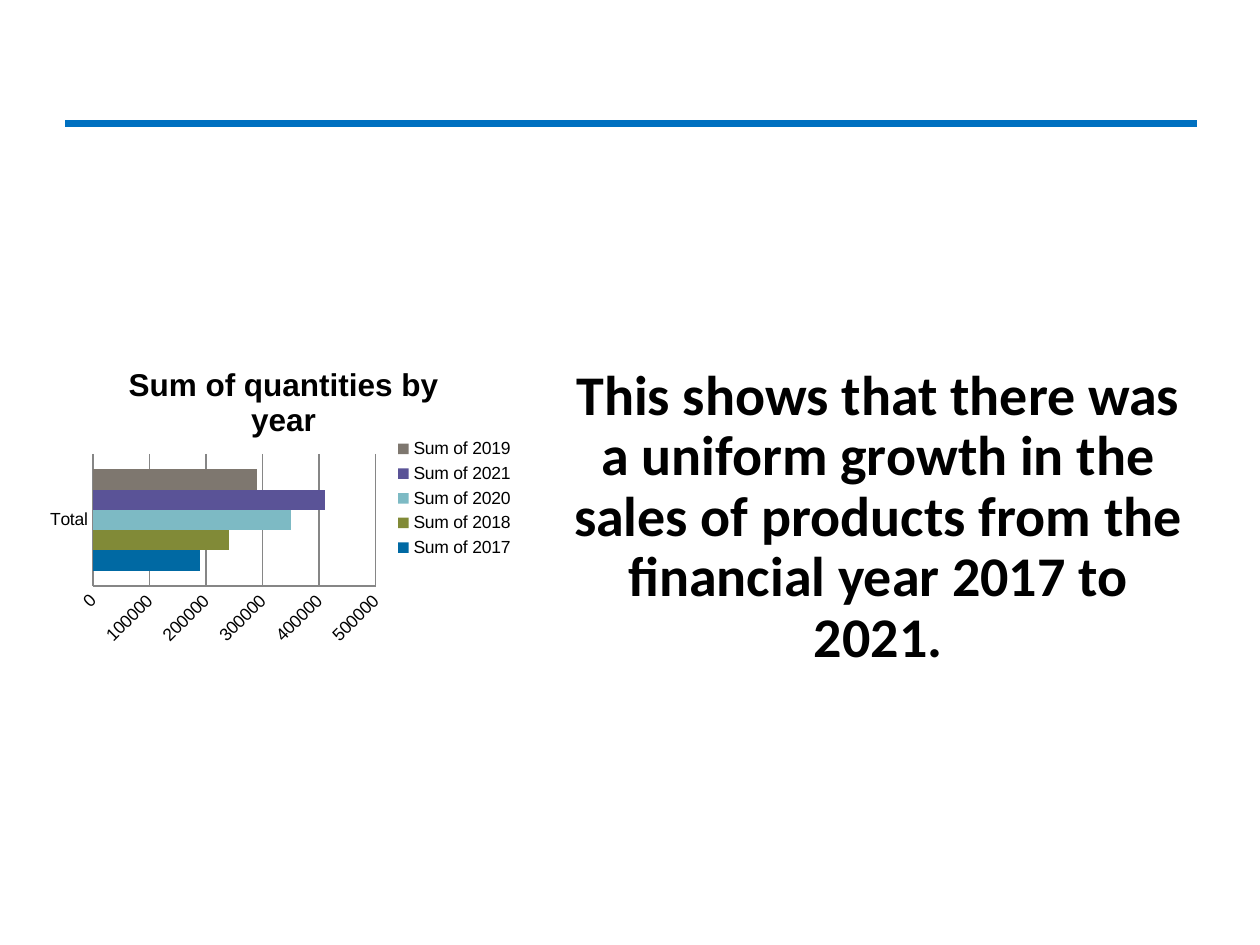
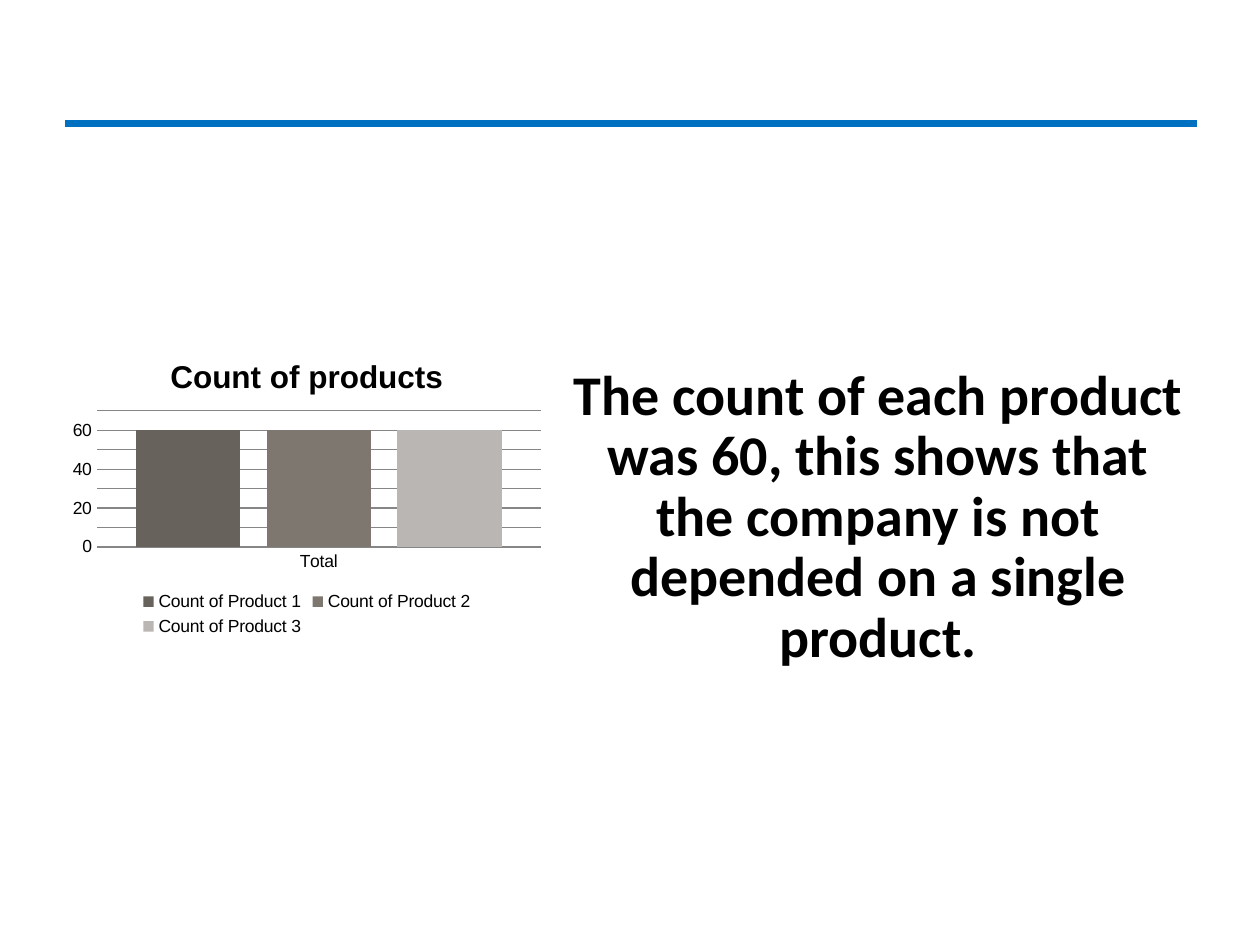
from pptx import Presentation
from pptx.chart.data import CategoryChartData
from pptx.dml.color import RGBColor
from pptx.enum.chart import XL_CHART_TYPE, XL_LEGEND_POSITION, XL_TICK_MARK
from pptx.enum.shapes import MSO_CONNECTOR
from pptx.enum.text import MSO_ANCHOR, MSO_AUTO_SIZE, PP_ALIGN
from pptx.oxml.ns import qn
from pptx.util import Inches, Pt
from lxml import etree

BAR = XL_CHART_TYPE.BAR_CLUSTERED
COLUMN = XL_CHART_TYPE.COLUMN_CLUSTERED
RIGHT = XL_LEGEND_POSITION.RIGHT
BOTTOM = XL_LEGEND_POSITION.BOTTOM
NO_TICK = XL_TICK_MARK.NONE
STRAIGHT = MSO_CONNECTOR.STRAIGHT
CENTER = PP_ALIGN.CENTER
TOP = MSO_ANCHOR.TOP
NO_FIT = MSO_AUTO_SIZE.NONE

WIDTH, HEIGHT = 10, 7.5
BLUE, BLACK, GRAY = "0070C0", "000000", "868686"
TEXT_BOX = (4.44, 2.86, 5.06, 5.33)

YEARS = [
    ("Sum of 2017", 190000, "0069A3"),
    ("Sum of 2018", 240000, "818A37"),
    ("Sum of 2020", 350000, "7DBAC4"),
    ("Sum of 2021", 410000, "5A5397"),
    ("Sum of 2019", 290000, "7E776F"),
]
PRODUCTS = [
    (f"Count of Product {n}", 60, tone)
    for n, tone in enumerate(("67625B", "7E776F", "BAB6B3"), 1)
]


def color(code):
    return RGBColor.from_string(code)


def style(font, name, size, bold=False):
    font.name, font.size, font.bold = name, Pt(size), bold
    font.color.rgb = color(BLACK)


def add_rule(slide):
    ends = [Inches(v) for v in (0.52, 0.98, WIDTH - 0.5, 0.98)]
    rule = slide.shapes.add_connector(STRAIGHT, *ends)
    rule.line.color.rgb = color(BLUE)
    rule.line.width = Pt(4.5)
    etree.SubElement(rule.element.spPr, qn("a:effectLst"))


def add_text(slide, text):
    body = slide.placeholders[1]
    body.left, body.top, body.width, body.height = map(Inches, TEXT_BOX)
    frame = body.text_frame
    frame.text = text
    frame.word_wrap = True
    frame.auto_size = NO_FIT
    frame.vertical_anchor = TOP
    par = frame.paragraphs[0]
    par.alignment = CENTER
    par.line_spacing = 0.9
    par.space_before = Pt(0)
    style(par.font, "Calibri", 32, True)
    props = par._p.get_or_add_pPr()
    props.set("marL", "0")
    props.set("indent", "0")
    mark = etree.Element(qn("a:buNone"))
    props.insert_element_before(mark, "a:tabLst", "a:defRPr", "a:extLst")


def add_slide(deck, text):
    slide = deck.slides.add_slide(deck.slide_layouts[1])
    title = slide.shapes.title.element
    title.getparent().remove(title)
    add_rule(slide)
    add_text(slide, text)
    return slide


def add_chart(slide, kind, box, title, rows, legend, gap, overlap=0):
    data = CategoryChartData()
    data.categories = ["Total"]
    for name, value, _ in rows:
        data.add_series(name, [value])
    chart = slide.shapes.add_chart(kind, *map(Inches, box), data).chart
    style(chart.font, "Arial", 10)
    chart.has_title = True
    chart.chart_title.include_in_layout = False
    head = chart.chart_title.text_frame
    head.text = title
    style(head.paragraphs[0].font, "Arial", 18, True)
    chart.has_legend = True
    chart.legend.position = legend
    chart.legend.include_in_layout = False
    plot = chart.plots[0]
    plot.vary_by_categories = False
    plot.gap_width, plot.overlap = gap, overlap
    for series, (_, _, tone) in zip(plot.series, rows):
        series.format.fill.solid()
        series.format.fill.fore_color.rgb = color(tone)
    for axis in (chart.category_axis, chart.value_axis):
        axis.major_tick_mark = axis.minor_tick_mark = NO_TICK
        axis.format.line.color.rgb = color(GRAY)
    grid = chart.value_axis
    grid.has_major_gridlines = True
    grid.major_gridlines.format.line.color.rgb = color(GRAY)
    return chart


def main():
    deck = Presentation()
    deck.slide_width, deck.slide_height = Inches(WIDTH), Inches(HEIGHT)

    slide = add_slide(deck, "This shows that there was a uniform growth in the "
                            "sales of products from the financial year 2017 to 2021.")
    chart = add_chart(slide, BAR, (0.32, 2.74, 3.86, 2.43),
                      "Sum of quantities by year", YEARS, RIGHT, 150)
    axis = chart.value_axis
    axis.minimum_scale, axis.maximum_scale, axis.major_unit = 0, 500000, 100000

    slide = add_slide(deck, "The count of each product was 60, this shows that "
                            "the company is not depended on a single product.")
    chart = add_chart(slide, COLUMN, (0.5, 2.68, 3.87, 2.41),
                      "Count of products", PRODUCTS, BOTTOM, 75, -25)
    axis = chart.value_axis
    axis.minimum_scale, axis.maximum_scale, axis.major_unit = 0, 70, 10
    axis.format.line.fill.background()

    deck.save("out.pptx")


if __name__ == "__main__":
    main()
